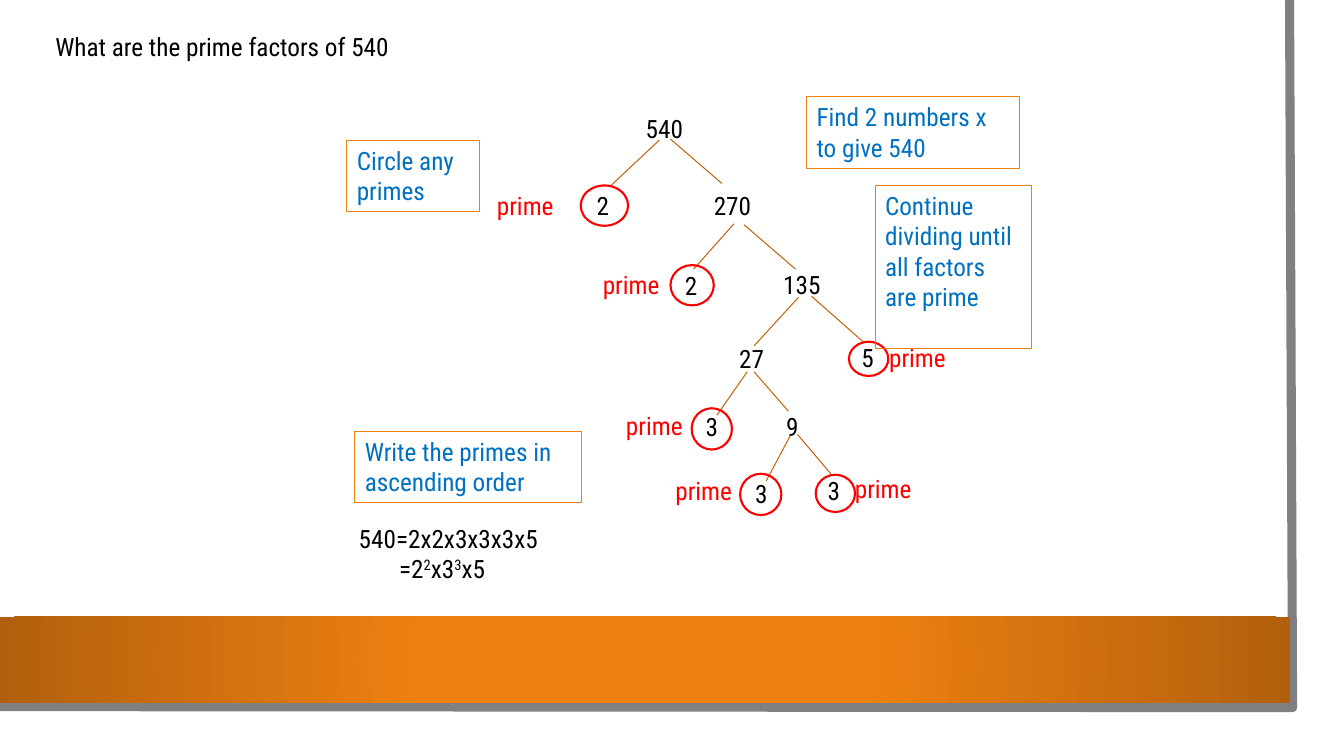
from lxml.etree import SubElement
from pptx import Presentation
from pptx.dml.color import RGBColor
from pptx.enum.shapes import MSO_CONNECTOR, MSO_SHAPE
from pptx.enum.text import MSO_ANCHOR, PP_ALIGN
from pptx.oxml import parse_xml
from pptx.oxml.ns import nsdecls, qn
from pptx.util import Inches, Pt

FONT, SIZE = "Roboto Condensed", 18
BLACK, WHITE, RED, BLUE = "000000", "FFFFFF", "FF0000", "0070C0"
ORANGE, RUST, BROWN, GREY = "EE8011", "B2600D", "BF670E", "808080"
LEFT, CENTER = PP_ALIGN.LEFT, PP_ALIGN.CENTER
ROW = 4  # height of a one-line label

# text, left, top, width, alignment
NUMBERS = [
    ("540", 35.6, 10.8, 60.6, CENTER),
    ("2", 56.6, 18.4, 6.4, CENTER), ("270", 69, 18.4, 7.3, CENTER),
    ("2", 66, 26.3, 5.1, CENTER), ("135", 76.7, 26.2, 6.3, LEFT),
    ("27", 70.9, 33.6, 7.3, CENTER), ("5", 83.3, 33.5, 5.5, CENTER),
    ("3", 69, 40.3, 4.2, LEFT), ("9", 77, 40.3, 5.3, LEFT),
    ("3", 73.9, 47, 3.6, LEFT), ("3", 81.1, 46.7, 5.1, LEFT),
]
# from x, from y, to x, to y
BRANCHES = [
    (65.4, 13.9, 60.6, 18.4), (66.5, 13.8, 71.6, 18.2),
    (72.8, 22.2, 68.8, 26.7), (73.8, 22.3, 78.9, 26.7),
    (79.2, 29.5, 74.8, 34.3), (80.5, 29.4, 85.6, 33.9),
    (74.1, 36.9, 71.1, 41.2), (74.8, 36.9, 78.2, 40.8),
    (78.4, 43.2, 76, 47.7), (79.1, 43.1, 82.4, 47),
]
# left and top of the word, then the ring's left, top, width, height
PRIMES = [
    (48.3, 18.4, 57.6, 18.4, 4.7, 4), (58.8, 26.2, 66.5, 26.3, 4.3, 4),
    (87.2, 33.5, 84.2, 33.9, 3.9, 3.4), (61.1, 40.2, 68.6, 40.5, 4, 4.1),
    (66, 46.7, 73.4, 47, 4.1, 4.1), (83.8, 46.5, 80.9, 47.1, 3.9, 3.7),
]
# text, left, top, width, height
STEPS = [
    ("Find 2 numbers x to give 540", 80, 9.6, 21.1, 7.1),
    ("Circle any primes", 34.4, 13.9, 13.2, 7.1),
    ("Continue dividing until all factors are prime", 86.8, 18.4, 15.5, 16.2),
    ("Write the primes in ascending order", 35.2, 42.8, 22.5, 7.1),
]


def rgb(hex_text):
    return RGBColor.from_string(hex_text)


def grid(*cells):
    """Turn columns and rows of a tenth of an inch into lengths."""
    return [Inches(c / 10) for c in cells]


class Board:
    def __init__(self, slide):
        self.s = slide

    def style_text(self, sp, color, align=LEFT):
        tf = sp.text_frame
        tf.word_wrap = True
        tf.vertical_anchor = MSO_ANCHOR.TOP
        for p in tf.paragraphs:
            p.alignment = align
            for r in p.runs:
                r.font.name, r.font.size = FONT, Pt(SIZE)
                r.font.color.rgb = rgb(color)

    def label(self, text, x, y, w, h=ROW, color=BLACK, align=LEFT):
        sp = self.s.shapes.add_textbox(*grid(x, y, w, h))
        sp.text_frame.text = text
        self.style_text(sp, color, align)
        return sp

    def shape(self, kind, box, fill=None, line=None, width=0.75):
        sp = self.s.shapes.add_shape(kind, *grid(*box))
        sp.shadow.inherit = False
        if fill:
            sp.fill.solid()
            sp.fill.fore_color.rgb = rgb(fill)
        else:
            sp.fill.background()
        self.outline(sp, line, width)
        return sp

    def outline(self, sp, line, width):
        if line:
            sp.line.color.rgb = rgb(line)
            sp.line.width = Pt(width)
        else:
            sp.line.fill.background()

    def step(self, text, *box):
        sp = self.shape(MSO_SHAPE.RECTANGLE, box, line=ORANGE)
        sp.text_frame.text = text
        self.style_text(sp, BLUE)

    def branch(self, *ends):
        cxn = self.s.shapes.add_connector(MSO_CONNECTOR.STRAIGHT, *grid(*ends))
        self.outline(cxn, BROWN, 0.75)
        SubElement(cxn._element.spPr, qn("a:effectLst"))

    def edge(self, points, line, width):
        """Draw an open line through the points."""
        start, *rest = [grid(*point) for point in points]
        builder = self.s.shapes.build_freeform(*start)
        builder.add_line_segments(rest, close=False)
        sp = builder.convert_to_shape()
        sp.shadow.inherit = False
        sp.fill.background()
        self.outline(sp, line, width)

    def band(self, *box):
        """Draw a bar that darkens from its middle outwards."""
        sp = self.shape(MSO_SHAPE.RECTANGLE, box)
        sp.fill.gradient()
        for stop, (at, color) in zip(sp.fill.gradient_stops, [(0.34, ORANGE), (1, RUST)]):
            stop.position = at
            stop.color.rgb = rgb(color)
        lin = sp._element.spPr.find(".//" + qn("a:lin"))
        lin.getparent().replace(lin, parse_xml(
            f'<a:path {nsdecls("a")} path="circle">'
            '<a:fillToRect l="50000" t="50000" r="50000" b="50000"/></a:path>'))

    def answer(self, product, powers, *box):
        """Write the product, and below it the indented form with powers."""
        sp = self.label(product, *box)
        p = sp.text_frame.add_paragraph()
        p._p.get_or_add_pPr().set("marL", str(Inches(0.4)))
        for text, raised in powers:
            r = p.add_run()
            r.text = text
            if raised:
                r.font._element.set("baseline", "30000")
        self.style_text(sp, BLACK)


def main():
    prs = Presentation()
    prs.slide_width, prs.slide_height = Inches(13.33), Inches(7.5)
    board = Board(prs.slides.add_slide(prs.slide_layouts[6]))

    board.shape(MSO_SHAPE.RECTANGLE, (0, 0, 131, 72.7), fill=WHITE)
    board.edge([(127.9, 0), (128.2, 70.2), (-0.3, 70.1)], GREY, 6.5)
    board.band(0, 61.2, 128, 8.5)

    for text, x, y, w, align in NUMBERS:
        board.label(text, x, y, w, align=align)
    for ends in BRANCHES:
        board.branch(*ends)
    for x, y, *ring in PRIMES:
        board.label("prime", x, y, 8.9, color=RED)
        board.shape(MSO_SHAPE.OVAL, ring, line=RED, width=1.5)
    for step in STEPS:
        board.step(*step)

    powers = [("=2", False), ("2", True), ("x3", False), ("3", True), ("x5", False)]
    board.answer("540=2x2x3x3x3x5", powers, 34.6, 51.4, 35.4, 7.1)
    board.label("What are the prime factors of 540", 4.5, 2.6, 43.9)
    prs.save("out.pptx")


if __name__ == "__main__":
    main()
